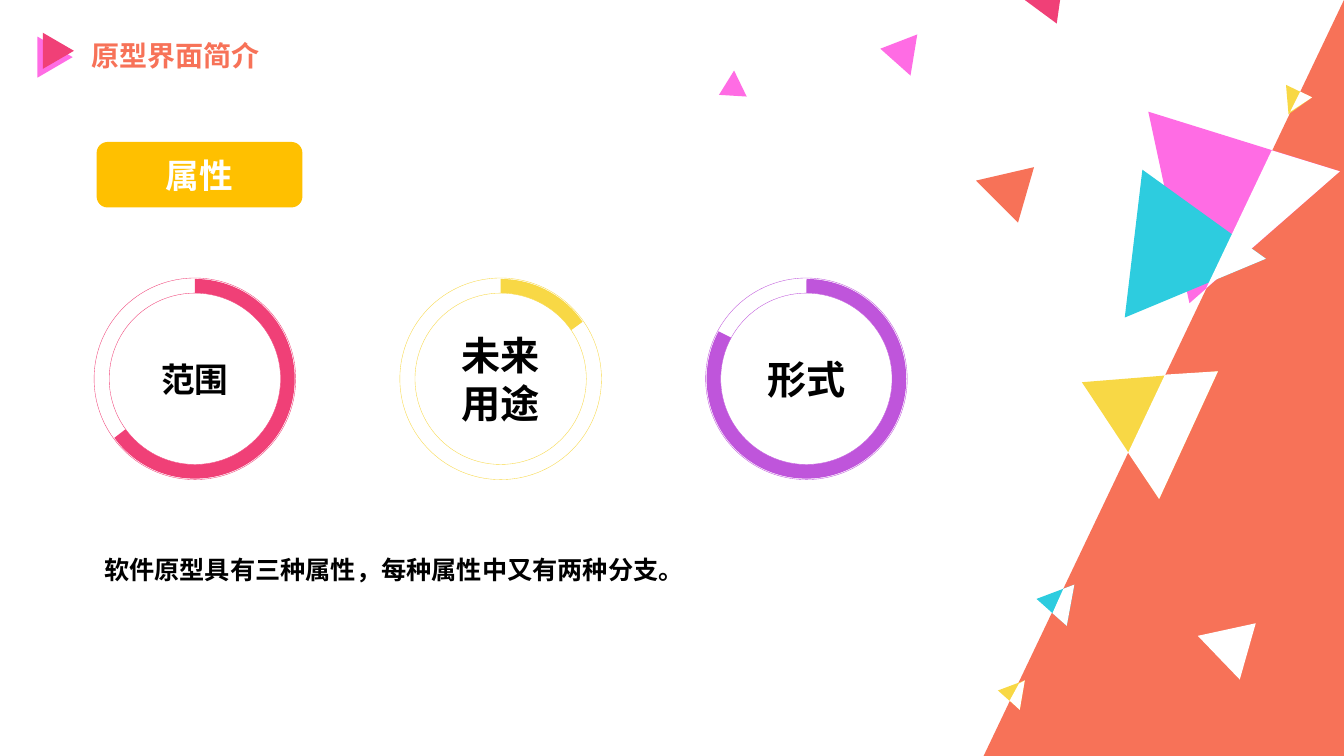
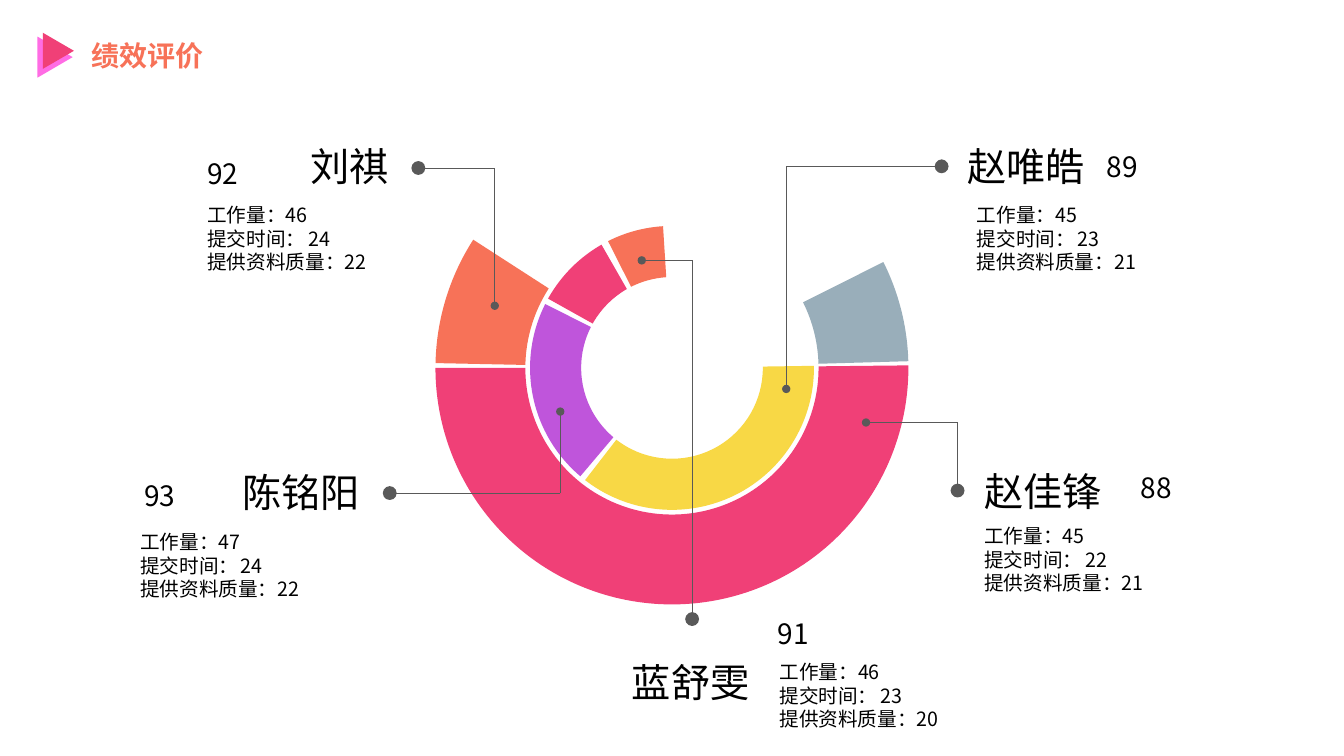
from dataclasses import dataclass

from lxml.etree import SubElement as Sub
from pptx import Presentation
from pptx.dml.color import RGBColor as Rgb
from pptx.enum.shapes import MSO_CONNECTOR as Wire, MSO_SHAPE as Form
from pptx.enum.text import MSO_ANCHOR as Anchor, PP_ALIGN as Align
from pptx.oxml.ns import qn
from pptx.util import Inches, Pt


@dataclass(frozen=True)
class Theme:
    coral: str = "F77258"
    pink: str = "FF6CE4"
    rose: str = "F04077"
    cyan: str = "2DCCDF"
    lemon: str = "F8D845"
    plum: str = "BF55DB"
    slate: str = "99AEBA"
    amber: str = "FFC000"
    white: str = "FFFFFF"
    black: str = "000000"
    grey: str = "595959"
    font: str = "Noto Sans CJK SC"
    large: int = 28
    label: int = 24
    title: int = 20
    note: int = 18
    small: int = 14
    hair: float = 0.25
    thin: float = 0.5
    thick: float = 10


T = Theme()
COLS, ROWS = 160, 90
TURN = 0.6


class Deck:
    def __init__(self):
        self.show = Presentation()
        self.show.slide_width = Inches(13.33)
        self.show.slide_height = Inches(7.5)
        self.slide = None

    def x(self, cols):
        return round(self.show.slide_width * cols / COLS)

    def y(self, rows):
        return round(self.show.slide_height * rows / ROWS)

    def box(self, left, top, wide, high):
        return self.x(left), self.y(top), self.x(wide), self.y(high)

    def page(self, title):
        self.slide = self.show.slides.add_slide(self.show.slide_layouts[6])
        self.text((9.7, 4, 26.6, 5.3), [title], T.title, T.coral, bold=True)
        for area, fill in (((4.1, 4.7, 4.9, 4.2), T.pink),
                           ((4.8, 4.2, 4.3, 3.7), T.rose)):
            self.shape(Form.ISOSCELES_TRIANGLE, area, fill).rotation = 90

    def paint(self, shape, fill=None, line=None, width=T.hair):
        shape.shadow.inherit = False
        if fill:
            shape.fill.solid()
            shape.fill.fore_color.rgb = Rgb.from_string(fill)
        else:
            shape.fill.background()
        if line:
            shape.line.color.rgb = Rgb.from_string(line)
            shape.line.width = Pt(width)
        else:
            shape.line.fill.background()
        return shape

    def shape(self, form, area, fill=None, line=None, width=T.hair, bends=()):
        shape = self.slide.shapes.add_shape(form, *self.box(*area))
        for spot, bend in enumerate(bends):
            shape.adjustments[spot] = bend
        return self.paint(shape, fill, line, width)

    def disc(self, form, mid, size, **look):
        area = (mid[0] - size / 2, mid[1] - size / 2, size, size)
        return self.shape(form, area, **look)

    def shard(self, fill, *spots):
        first, *rest = [(self.x(col), self.y(row)) for col, row in spots]
        pen = self.slide.shapes.build_freeform(*first)
        pen.add_line_segments(rest, close=True)
        self.paint(pen.convert_to_shape(), fill)

    def words(self, frame, lines, size, color, bold=False, align=Align.LEFT):
        for spot, line in enumerate(lines):
            para = frame.add_paragraph() if spot else frame.paragraphs[0]
            para.alignment = align
            run = para.add_run()
            run.text = line
            font = run.font
            font.size, font.bold, font.name = Pt(size), bold, T.font
            font.color.rgb = Rgb.from_string(color)
            Sub(run._r.get_or_add_rPr(), qn("a:ea")).set("typeface", T.font)

    def text(self, area, lines, size, color=T.black, bold=False,
             align=Align.LEFT, wrap=True):
        frame = self.slide.shapes.add_textbox(*self.box(*area)).text_frame
        frame.word_wrap = wrap
        self.words(frame, lines, size, color, bold, align)

    def label(self, shape, word, size, color):
        frame = shape.text_frame
        frame.word_wrap = True
        frame.vertical_anchor = Anchor.MIDDLE
        self.words(frame, [word], size, color, True, Align.CENTER)

    def ring(self, mid, color, stop, word, size):
        self.disc(Form.OVAL, mid, 24, line=color)
        core = self.disc(Form.OVAL, mid, 20.4, line=color)
        self.label(core, word, size, T.black)
        self.disc(Form.ARC, mid, 22.1, line=color, width=T.thick,
                  bends=(270 * TURN, stop * TURN))

    def band(self, size, color, start, stop, depth):
        self.disc(Form.BLOCK_ARC, (80, 43.8), size, fill=color,
                  bends=(start * TURN, stop * TURN, depth))

    def wire(self, start, bend, stop):
        legs = ((start, bend, "headEnd", "med"), (bend, stop, "tailEnd", "lg"))
        for tip, end, cap, size in legs:
            line = self.slide.shapes.add_connector(
                Wire.STRAIGHT, self.x(tip[0]), self.y(tip[1]),
                self.x(end[0]), self.y(end[1]))
            line.line.color.rgb = Rgb.from_string(T.grey)
            line.line.width = Pt(T.thin)
            props = line._element.spPr
            dot = Sub(props.get_or_add_ln(), qn("a:" + cap))
            for key, value in (("type", "oval"), ("w", size), ("len", size)):
                dot.set(key, value)
            Sub(props, qn("a:effectLst"))

    def member(self, name, place, align, score, mark, marks, notes, route):
        self.wire(*route)
        wide = 16.6 if len(name) == 3 else 11.9
        self.text((*place, wide, 6.8), [name], T.large, align=align, wrap=False)
        self.text((*mark, 21, 5.3), [score], T.title)
        load, time, data = marks
        lines = [f"工作量：{load}", f"提交时间：\t{time}", f"提供资料质量：{data}"]
        self.text((*notes, 29.4, 9.7), lines, T.small)


SHARDS = (
    (T.coral, (123.1, 19.9), (121.2, 26.5), (116.2, 21.5)),
    (T.pink, (141.6, 36.1), (136.7, 13.3), (159.5, 20.4)),
    (T.cyan, (133.9, 37.8), (136, 20.2), (150.7, 30.8)),
    (T.cyan, (123.4, 71.3), (127.9, 69.6), (127, 74.5)),
    (T.lemon, (118.8, 82.2), (122, 81), (121.4, 84.5)),
    (T.lemon, (128.8, 45.5), (145, 44.2), (138, 59.4)),
    (T.lemon, (153.4, 13.6), (153.1, 10.1), (156.2, 11.6)),
    (T.pink, (104.8, 5.8), (109.2, 4.1), (108.4, 9)),
    (T.rose, (125.8, 2.8), (122, 0), (126.2, 0)),
    (T.white, (149.5, 74.2), (147.6, 80.9), (142.6, 75.7)),
    (T.white, (151.4, 17.9), (159.5, 20.4), (143.6, 34.3)),
    (T.white, (146.8, 28), (150.7, 30.8), (144, 33.6)),
    (T.white, (127.9, 69.6), (127, 74.5), (125.3, 73), (126.6, 70.1)),
    (T.white, (122, 81), (121.4, 84.5), (120.2, 83.4), (121.3, 81.4)),
    (T.white, (145, 44.2), (138, 59.4), (134.3, 53.9), (138.7, 44.6)),
    (T.white, (154.8, 10.9), (156.2, 11.6), (153.6, 13.3)),
    (T.pink, (85.6, 11.3), (87.4, 8.4), (88.9, 11.5)),
)

RINGS = (
    (T.rose, 143.85, "范围", T.label),
    (T.lemon, 325.29, "未来用途", T.large),
    (T.plum, 208.52, "形式", T.large),
)

OUTER, INNER = 56.3, 33.8
BANDS = (
    (OUTER, T.rose, 359.38, 180, 0.19),
    (INNER, T.plum, 130.21, 206.73, 0.18),
    (INNER, T.lemon, 359.17, 127.75, 0.18),
    (INNER, T.rose, 209.19, 240.21, 0.18),
    (OUTER, T.coral, 181.17, 212.84, 0.19),
    (OUTER, T.slate, 333.39, 358.37, 0.19),
    (INNER, T.coral, 243.23, 266.37, 0.18),
)

TEAM = (
    ("赵唯皓", (114, 16.4), Align.LEFT, "89", (130.6, 17.2), (45, 23, 21),
     (115.1, 23.6), ((93.6, 46.3), (93.6, 19.8), (112.1, 19.8))),
    ("刘祺", (35.6, 16.4), Align.RIGHT, "92", (23.5, 18.1), (46, 24, 22),
     (23.5, 23.6), ((58.9, 36.4), (58.9, 20), (49.8, 20))),
    ("陈铭阳", (27.4, 55.1), Align.RIGHT, "93", (16, 56.4), (47, 24, 22),
     (15.5, 62.5), ((66.7, 49), (66.7, 58.7), (46.4, 58.7))),
    ("赵佳锋", (116, 55), Align.LEFT, "88", (134.6, 55.4), (45, 22, 21),
     (116, 61.8), ((103.1, 50.3), (114, 50.3), (114, 58.4))),
    ("蓝舒雯", (73.8, 77.8), Align.RIGHT, "91", (91.4, 72.8), (46, 23, 20),
     (91.6, 78), ((76.4, 31), (82.4, 31), (82.4, 73.7))),
)


def traits(deck):
    deck.page("原型界面简介")
    deck.shape(Form.ISOSCELES_TRIANGLE, (117.1, 0, 42.9, 90), T.coral, bends=(1,))
    for shard in SHARDS:
        deck.shard(*shard)
    badge = deck.shape(Form.ROUNDED_RECTANGLE, (11.5, 16.9, 24.5, 7.8), T.amber)
    deck.label(badge, "属性", T.label, T.white)
    for spot, ring in enumerate(RINGS):
        deck.ring((23.2 + 36.4 * spot, 45.1), *ring)
    deck.text((11.2, 65.4, 72.1, 4.8),
              ["软件原型具有三种属性，每种属性中又有两种分支。"],
              T.note, bold=True, wrap=False)


def scores(deck):
    deck.page("绩效评价")
    for band in BANDS:
        deck.band(*band)
    for member in TEAM:
        deck.member(*member)


def main():
    deck = Deck()
    traits(deck)
    scores(deck)
    deck.show.save("out.pptx")


if __name__ == "__main__":
    main()
